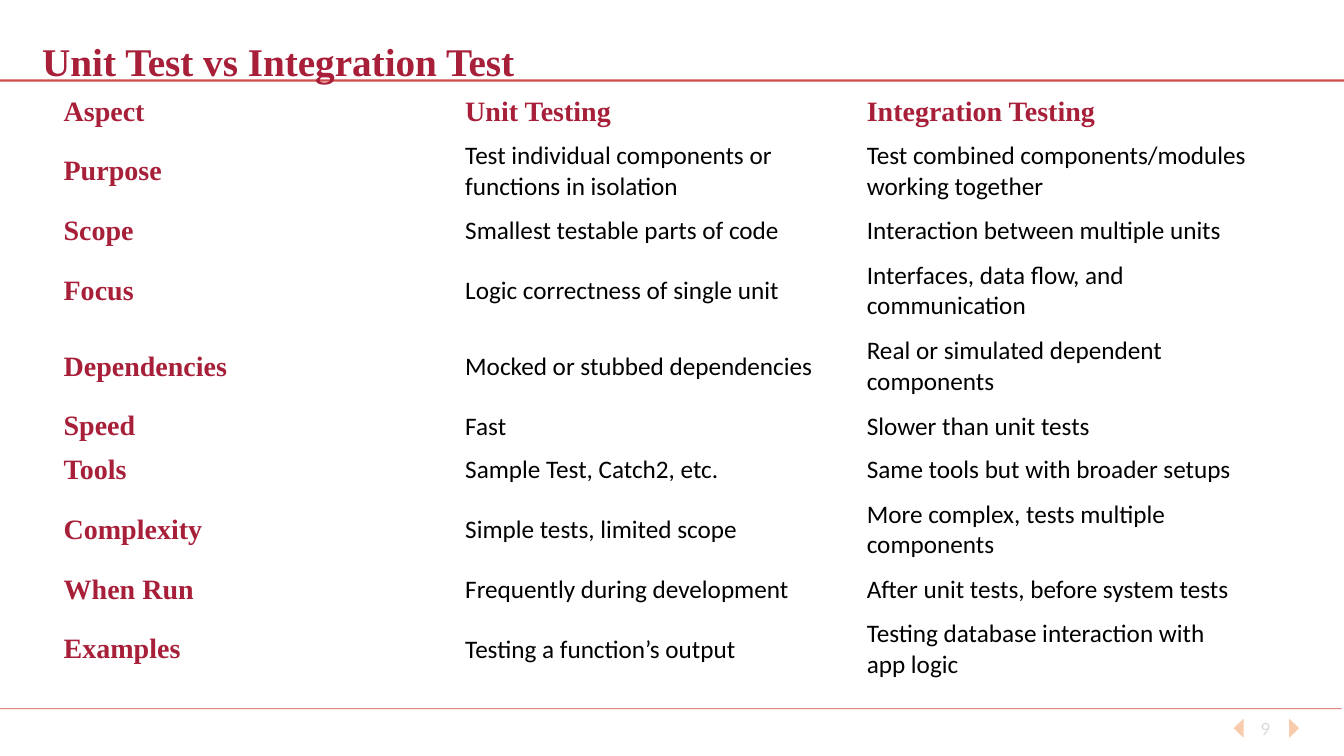
import pptx
import pptx.util
import pptx.dml.color
import pptx.enum.shapes
import pptx.enum.text
import pptx.oxml
import pptx.oxml.ns
from dataclasses import dataclass

Cm, Pt = pptx.util.Cm, pptx.util.Pt
RGB = pptx.dml.color.RGBColor.from_string
PP_ALIGN = pptx.enum.text.PP_ALIGN
MSO_ANCHOR = pptx.enum.text.MSO_ANCHOR


@dataclass(frozen=True)
class Theme:
    heading: str = "A71F38"
    body: str = "000000"
    rule: str = "C00000"
    arrow: str = "F8CBAD"
    number: str = "D9D9D9"
    heading_font: str = "Times New Roman"
    body_font: str = "Calibri"
    number_font: str = "Lato"
    title_size: int = 28
    heading_size: int = 20
    body_size: int = 18
    number_size: int = 12


T = Theme()


def write(tf, text, font=T.body_font, size=T.body_size, color=T.body,
          bold=False, align=PP_ALIGN.LEFT):
    tf.word_wrap = True
    p = tf.paragraphs[0]
    p.alignment = align
    r = p.add_run()
    r.text = text
    r.font.name, r.font.size, r.font.bold = font, Pt(size), bold
    r.font.color.rgb = RGB(color)


prs = pptx.Presentation()
prs.slide_width, prs.slide_height = Cm(33.87), Cm(19.05)
s = prs.slides.add_slide(prs.slide_layouts[5])
heading = dict(font=T.heading_font, color=T.heading, bold=True)

# Page number between two arrowheads
number = s.shapes.add_textbox(Cm(31.19), Cm(17.86), Cm(1.42), Cm(1.02))
number.text_frame.vertical_anchor = MSO_ANCHOR.MIDDLE
write(number.text_frame, "9", font=T.number_font, size=T.number_size,
      color=T.number, align=PP_ALIGN.CENTER)
for base, tip in ((31.34, 31.09), (32.49, 32.74)):
    fb = s.shapes.build_freeform(Cm(base), Cm(18.11))
    fb.add_line_segments([(Cm(tip), Cm(18.35)), (Cm(base), Cm(18.59))])
    arrow = fb.convert_to_shape()
    arrow.shadow.inherit = False
    arrow.fill.solid()
    arrow.fill.fore_color.rgb = RGB(T.arrow)
    arrow.line.fill.background()

# Footer and title rules, 70% opaque
for y, right, width in ((17.86, 33.81, 0.5), (2.03, 33.87, 1.5)):
    rule = s.shapes.add_connector(
        pptx.enum.shapes.MSO_CONNECTOR.STRAIGHT, 0, Cm(y), Cm(right), Cm(y))
    rule.line.width = Pt(width)
    rule.line.color.rgb = RGB(T.rule)
    color = rule.element.spPr.find(".//" + pptx.oxml.ns.qn("a:srgbClr"))
    ns = pptx.oxml.ns.nsdecls("a")
    color.append(pptx.oxml.parse_xml(f'<a:alpha {ns} val="70000"/>'))
    rule.element.spPr.append(pptx.oxml.parse_xml(f"<a:effectLst {ns}/>"))

# Title, in front of its rule
title = s.shapes.title
title.left, title.top, title.width, title.height = Cm(0.81), Cm(0.81), Cm(19.94), Cm(1.45)
tf = title.text_frame
tf.vertical_anchor = MSO_ANCHOR.TOP
tf.auto_size = pptx.enum.text.MSO_AUTO_SIZE.SHAPE_TO_FIT_TEXT
write(tf, "Unit Test vs Integration Test", size=T.title_size, **heading)
s.shapes.element.append(title.element)

# Comparison table: one-line and two-line rows
LOW, TALL = 1.1, 1.91
rows = [
    (LOW, "Aspect", "Unit Testing", "Integration Testing"),
    (TALL, "Purpose", "Test individual components or functions in isolation",
     "Test combined components/modules working together"),
    (LOW, "Scope", "Smallest testable parts of code",
     "Interaction between multiple units"),
    (TALL, "Focus", "Logic correctness of single unit",
     "Interfaces, data flow, and communication"),
    (TALL, "Dependencies", "Mocked or stubbed dependencies",
     "Real or simulated dependent components"),
    (LOW, "Speed", "Fast", "Slower than unit tests"),
    (LOW, "Tools", "Sample Test, Catch2, etc.",
     "Same tools but with broader setups"),
    (TALL, "Complexity", "Simple tests, limited scope",
     "More complex, tests multiple components"),
    (LOW, "When Run", "Frequently during development",
     "After unit tests, before system tests"),
    (TALL, "Examples", "Testing a function’s output",
     "Testing database interaction with app logic"),
]
height = sum(row[0] for row in rows)
table = s.shapes.add_table(len(rows), 3, Cm(1.35), Cm(2.26),
                           Cm(30.36), Cm(height)).table
table.first_row = table.horz_banding = False
for i, (row_height, *texts) in enumerate(rows):
    table.rows[i].height = Cm(row_height)
    for j, text in enumerate(texts):
        cell = table.cell(i, j)
        cell.fill.background()
        cell.vertical_anchor = MSO_ANCHOR.MIDDLE
        if i == 0 or j == 0:
            write(cell.text_frame, text, size=T.heading_size, **heading)
        else:
            write(cell.text_frame, text)

prs.save("out.pptx")
